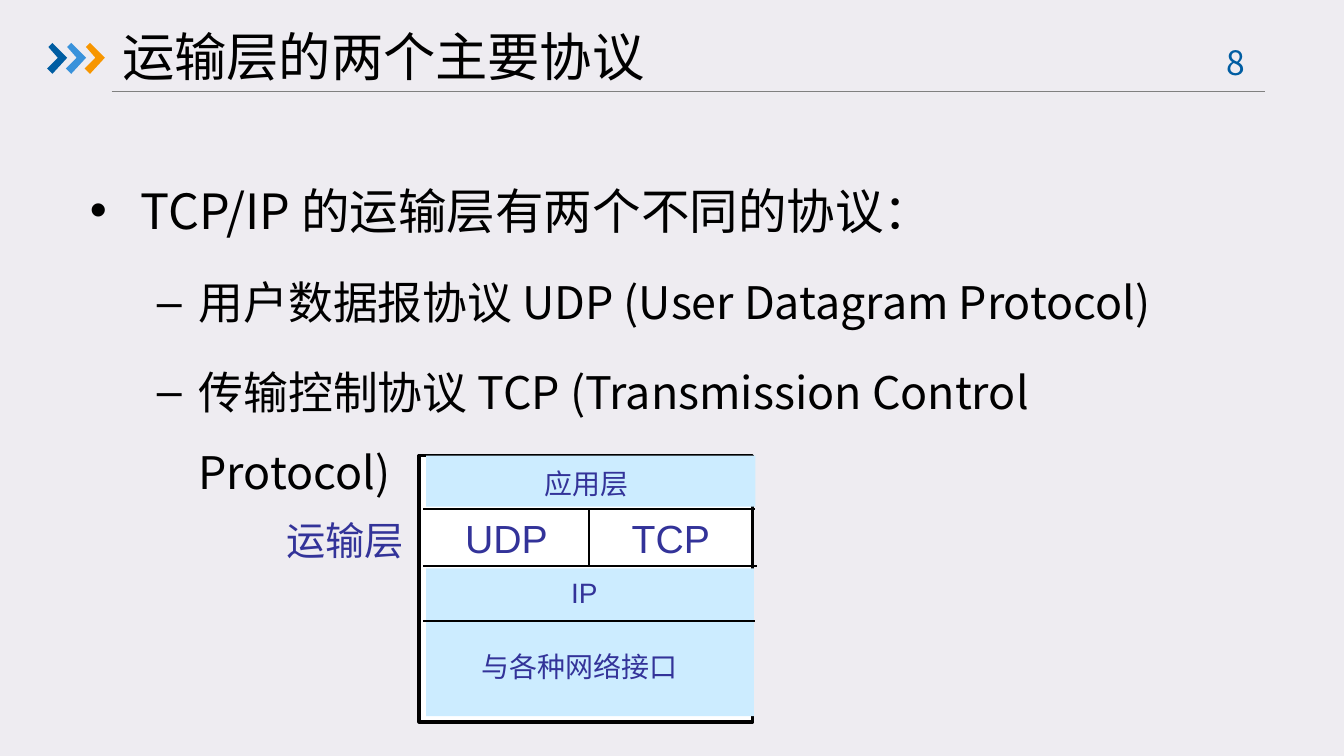
from lxml.etree import SubElement
from pptx import Presentation
from pptx.dml.color import RGBColor
from pptx.enum.shapes import MSO_CONNECTOR, MSO_SHAPE
from pptx.enum.text import MSO_ANCHOR, PP_ALIGN
from pptx.oxml.ns import qn
from pptx.util import Inches, Pt

COLORS = {
    "back": "EEECF1", "gray": "808080", "black": "000000", "white": "FFFFFF",
    "navy": "005DA2", "blue": "3992DB", "orange": "F79600",
    "pale": "CCECFF", "ink": "333399",
}
NOTO = "Noto Sans CJK SC"


def rgb(name):
    return RGBColor.from_string(COLORS[name])


def style(para, size, color, face=NOTO):
    font = para.font
    font.size, font.name = Pt(size), face
    font.color.rgb = rgb(color)


def add_line(slide, x1, y1, x2, y2, color="black", width=1):
    line = slide.shapes.add_connector(
        MSO_CONNECTOR.STRAIGHT, Inches(x1), Inches(y1), Inches(x2), Inches(y2))
    line.line.color.rgb = rgb(color)
    line.line.width = Pt(width)
    SubElement(line._element.spPr, qn("a:effectLst"))


def paint(shape, fill, width=0):
    shape.shadow.inherit = False
    shape.fill.solid()
    shape.fill.fore_color.rgb = rgb(fill)
    if width:
        shape.line.color.rgb = rgb("black")
        shape.line.width = Pt(width)
    else:
        shape.line.fill.background()


def add_rect(slide, x, y, w, h, fill, width=0):
    rect = slide.shapes.add_shape(
        MSO_SHAPE.RECTANGLE, Inches(x), Inches(y), Inches(w), Inches(h))
    paint(rect, fill, width)


def add_label(slide, text, x, y, w, h, size, color="ink", face="Arial",
              inset=(0.07, 0.04), wrap=False):
    box = slide.shapes.add_textbox(Inches(x), Inches(y), Inches(w), Inches(h))
    frame = box.text_frame
    frame.word_wrap = wrap
    frame.margin_left = frame.margin_right = Inches(inset[0])
    frame.margin_top = frame.margin_bottom = Inches(inset[1])
    para = frame.paragraphs[0]
    para.text = text
    style(para, size, color, face)
    return box


def add_arrow(slide, x, color):
    # Chevron corners in hundredths of an inch, from its top left
    pts = [(1, 3), (4, 0), (15, 11), (4, 23), (0, 19), (8, 11)]
    build = slide.shapes.build_freeform(*pts[0], scale=Inches(0.01))
    build.add_line_segments(pts[1:], close=True)
    paint(build.convert_to_shape(Inches(x), Inches(0.32)), color)


def add_title(slide, text):
    title = slide.shapes.title
    title.left, title.top = Inches(0.81), Inches(0.16)
    title.width, title.height = Inches(7.04), Inches(0.51)
    frame = title.text_frame
    frame.text = text
    frame.vertical_anchor = MSO_ANCHOR.MIDDLE
    para = frame.paragraphs[0]
    para.alignment = PP_ALIGN.LEFT
    style(para, 28, "black")


def add_points(slide, items):
    box = slide.shapes.add_textbox(
        Inches(0.57), Inches(1.08), Inches(8.77), Inches(4.02))
    frame = box.text_frame
    frame.word_wrap = True
    frame.margin_right = Inches(0.2)
    # Per level: size, left margin, hang, bullet
    levels = [(26, 0.38, 0.38, "•"), (24, 0.81, 0.31, "–")]
    for i, (level, text) in enumerate(items):
        para = frame.add_paragraph() if i else frame.paragraphs[0]
        size, left, hang, mark = levels[level]
        para.text = text
        para.level = level
        para.line_spacing = 1.5
        para.space_before = Pt(size * 0.2)
        props = para._p.get_or_add_pPr()
        props.set("marL", str(Inches(left)))
        props.set("indent", str(-Inches(hang)))
        SubElement(props, qn("a:buFont")).set("typeface", "Arial")
        SubElement(props, qn("a:buChar")).set("char", mark)
        style(para, size, "black")


def add_stack(slide):
    # Frame and coloured layers
    add_rect(slide, 3.12, 3.39, 2.48, 1.98, "white", 2)
    add_line(slide, 3.15, 3.79, 5.62, 3.79)
    add_line(slide, 3.15, 4.21, 5.63, 4.21)
    add_rect(slide, 3.17, 3.39, 2.45, 0.38, "pale")
    add_rect(slide, 3.17, 4.23, 2.44, 1.1, "pale")
    add_line(slide, 4.38, 3.79, 4.38, 4.21)

    # Layer names
    add_label(slide, "TCP", 4.63, 3.79, 0.74, 0.43, 21)
    add_label(slide, "UDP", 3.39, 3.79, 0.77, 0.43, 21)
    paint(add_label(slide, "IP", 4.18, 4.24, 0.35, 0.33, 15), "pale")
    add_label(slide, "应用层", 3.98, 3.43, 0.78, 0.33, 15)
    add_label(slide, "与各种网络接口", 3.51, 4.79, 1.89, 0.33, 15, wrap=True)
    add_line(slide, 3.15, 4.62, 5.62, 4.62)
    add_label(slide, "运输层", 2.03, 3.79, 1.09, 0.45, 21,
              face="Roboto", inset=(0.1, 0.05))


def main():
    deck = Presentation()
    deck.slide_width = Inches(10)
    deck.slide_height = deck.slide_width * 9 // 16
    slide = deck.slides.add_slide(deck.slide_layouts[5])
    slide.background.fill.solid()
    slide.background.fill.fore_color.rgb = rgb("back")

    # Header
    add_line(slide, 0.83, 0.68, 9.41, 0.68, "gray", 0.75)
    for i, color in enumerate(["navy", "blue", "orange"]):
        add_arrow(slide, 0.35 + 0.14 * i, color)
    page = add_label(slide, "8 ", 8.86, 0.26, 0.73, 0.4, 18, "navy", NOTO,
                     (0.1, 0.05), True)
    page.text_frame.paragraphs[0].alignment = PP_ALIGN.CENTER
    add_title(slide, "运输层的两个主要协议")

    # Body
    add_points(slide, [
        (0, "TCP/IP 的运输层有两个不同的协议："),
        (1, "用户数据报协议 UDP (User Datagram Protocol)"),
        (1, "传输控制协议 TCP (Transmission Control Protocol)"),
    ])
    add_stack(slide)
    deck.save("out.pptx")


if __name__ == "__main__":
    main()
